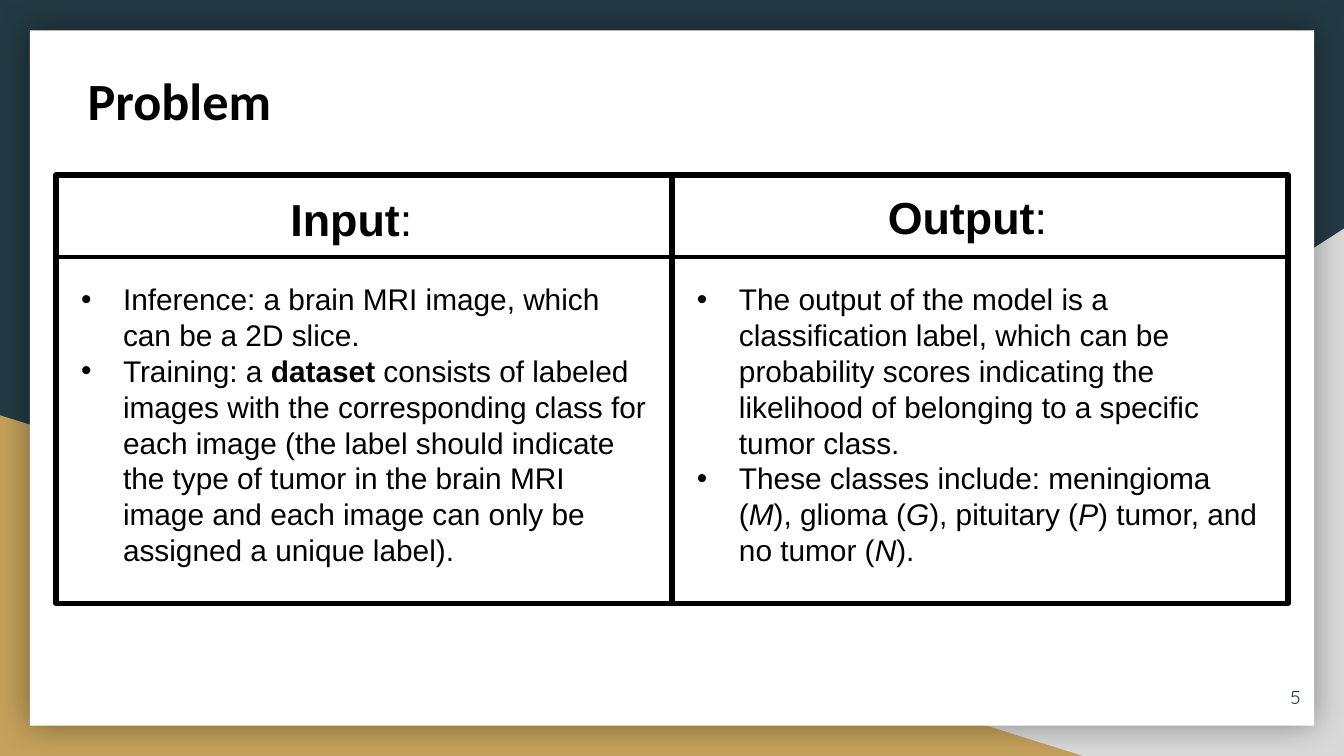
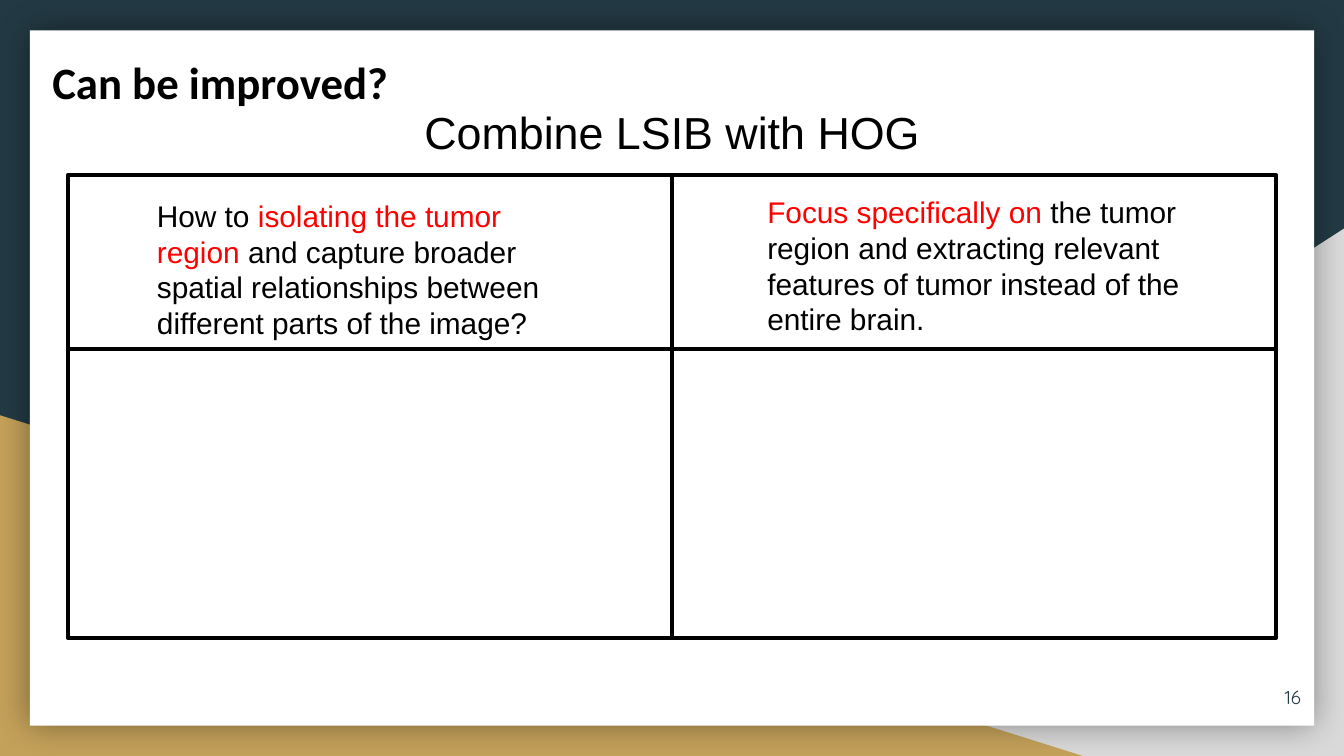
import pptx
import pptx.dml.color
import pptx.enum.shapes
import pptx.enum.text
import pptx.oxml
import pptx.oxml.ns
import pptx.util

Pt = pptx.util.Pt
RGBColor = pptx.dml.color.RGBColor
SHAPE = pptx.enum.shapes.MSO_SHAPE
ALIGN = pptx.enum.text.PP_ALIGN
ANCHOR = pptx.enum.text.MSO_ANCHOR
AUTO_SIZE = pptx.enum.text.MSO_AUTO_SIZE

NAVY = RGBColor(0x23, 0x3A, 0x44)
GOLD = RGBColor(0xC4, 0xA1, 0x5A)
GREY = RGBColor(0xD9, 0xD9, 0xD9)
WHITE = RGBColor(0xFF, 0xFF, 0xFF)
BLACK = RGBColor(0, 0, 0)
RED = RGBColor(0xFF, 0, 0)

PAGE_WIDTH, PAGE_HEIGHT = 720, 405
MIDDLE = PAGE_WIDTH / 2
GRID_TOP = 93.8
RULE_WEIGHT = 2.25

BOLD = {"bold": True}
ITALIC = {"italic": True}
MARKED = {"color": RED}

PANEL_SHADOW = (
    '<a:effectLst %s><a:outerShdw blurRad="%d" dist="0" dir="0" rotWithShape="0">'
    '<a:srgbClr val="000000"><a:alpha val="40000"/></a:srgbClr>'
    "</a:outerShdw></a:effectLst>"
)


class SlideWriter:
    body = {"name": "Arial", "size": Pt(16), "color": BLACK, "bold": False, "italic": False}
    heading = {**body, "size": Pt(24)}
    title_style = {**body, "name": "Calibri", "bold": True}
    number_style = {**body, "name": "Quicksand", "size": Pt(10), "color": NAVY}

    def __init__(self, deck):
        self.deck = deck
        self.page = None

    def new_page(self, title, box, size, number):
        title_only = self.deck.slide_layouts[5]
        self.page = self.deck.slides.add_slide(title_only)
        holder = self.page.shapes.title
        self.place(holder, *box)
        self.fill_text(holder, [[title]], {**self.title_style, "size": Pt(size)},
                       inset=7.2, indent=10)
        self.text((661, 358, 43, 31), [[number]], self.number_style, align=ALIGN.RIGHT,
                  anchor=ANCHOR.MIDDLE, inset=7.2, grow=False)

    def place(self, shape, left, top, width, height):
        values = {"left": left, "top": top, "width": width, "height": height}
        for name, value in values.items():
            setattr(shape, name, Pt(value))

    def shape(self, kind, box, fill, weight=0):
        shape = self.page.shapes.add_shape(kind, *map(Pt, box))
        shape.shadow.inherit = False
        shape.fill.solid()
        shape.fill.fore_color.rgb = fill
        if weight:
            shape.line.color.rgb = BLACK
            shape.line.width = Pt(weight)
        else:
            shape.line.fill.background()
        return shape

    def rule(self, left, right, top):
        line = self.page.shapes.add_connector(
            pptx.enum.shapes.MSO_CONNECTOR.STRAIGHT, Pt(left), Pt(top), Pt(right), Pt(top))
        line.line.color.rgb = BLACK
        line.line.width = Pt(RULE_WEIGHT)
        effects = pptx.oxml.parse_xml("<a:effectLst %s/>" % pptx.oxml.ns.nsdecls("a"))
        line._element.spPr.append(effects)

    def text(self, box, paras, style, **layout):
        holder = self.page.shapes.add_textbox(*map(Pt, box))
        self.fill_text(holder, paras, style, **layout)

    def fill_text(self, holder, paras, style, align=ALIGN.LEFT, anchor=ANCHOR.TOP, inset=3.6,
                  right=7.2, indent=0, bullet=False, grow=True):
        """Each para is a list of spans: plain text, or (text, changed format values)."""
        frame = holder.text_frame
        values = {
            "word_wrap": True, "vertical_anchor": anchor,
            "auto_size": AUTO_SIZE.SHAPE_TO_FIT_TEXT if grow else AUTO_SIZE.NONE,
            "margin_left": Pt(7.2), "margin_right": Pt(right),
            "margin_top": Pt(inset), "margin_bottom": Pt(inset),
        }
        for name, value in values.items():
            setattr(frame, name, value)
        for index, spans in enumerate(paras):
            para = frame.add_paragraph() if index else frame.paragraphs[0]
            para.alignment = align
            self.set_indent(para, indent, bullet)
            for span in spans:
                words, changes = (span, {}) if isinstance(span, str) else span
                self.add_span(para, words, {**style, **changes})

    def set_indent(self, para, indent, bullet):
        properties = para._p.get_or_add_pPr()
        properties.set("marL", str(Pt(indent)))
        properties.set("indent", str(-Pt(indent) if bullet else 0))
        if bullet:
            for markup in ('<a:buFont %s typeface="Arial"/>', '<a:buChar %s char="•"/>'):
                properties.append(pptx.oxml.parse_xml(markup % pptx.oxml.ns.nsdecls("a")))

    def add_span(self, para, words, style):
        span = para.add_run()
        span.text = words
        for name, value in style.items():
            if name == "color":
                span.font.color.rgb = value
            else:
                setattr(span.font, name, value)

    def share_backdrop(self):
        """Draw the background shapes and move them to the slide master."""
        master = self.deck.slide_master
        master.background.fill.solid()
        master.background.fill.fore_color.rgb = NAVY
        grey = self.shape(SHAPE.RIGHT_TRIANGLE, (282, 122.5, 438, 282.5), GREY)
        grey._element.spPr.xfrm.set("flipH", "1")
        gold = self.shape(SHAPE.RIGHT_TRIANGLE, (0, 222.5, 580, 182.5), GOLD)
        panel = self.shape(SHAPE.RECTANGLE, (16, 16.25, 688, 372.5), WHITE)
        properties = panel._element.spPr
        properties.remove(properties.find(pptx.oxml.ns.qn("a:effectLst")))
        properties.append(pptx.oxml.parse_xml(
            PANEL_SHADOW % (pptx.oxml.ns.nsdecls("a"), Pt(18))))
        for position, shape in enumerate((grey, gold, panel), start=2):
            master.shapes._spTree.insert(position, shape._element)

    def two_cells(self, width, height, weight):
        """Draw two equal cells that meet in the middle of the page."""
        for left in (MIDDLE - width, MIDDLE):
            self.shape(SHAPE.RECTANGLE, (left, GRID_TOP, width, height), WHITE, weight)


def problem_page(writer):
    writer.new_page("Problem", (29.8, 29.5, 241, 48), 28, "5")
    writer.share_backdrop()
    cell = 330
    writer.two_cells(cell, 229.5, 3)
    columns = [
        ("Input", 99.4, [
            ["Inference: a brain MRI image, which can be a 2D slice."],
            ["Training: a ", ("dataset", BOLD),
             " consists of labeled images with the corresponding class for each image "
             "(the label should indicate the type of tumor in the brain MRI image and "
             "each image can only be assigned a unique label)."],
        ]),
        ("Output", 98, [
            ["The output of the model is a classification label, which can be probability "
             "scores indicating the likelihood of belonging to a specific tumor class."],
            ["These classes include: meningioma (", ("M", ITALIC), "), glioma (",
             ("G", ITALIC), "), pituitary (", ("P", ITALIC), ") tumor, and no tumor (",
             ("N", ITALIC), ")."],
        ]),
    ]
    for column, (name, top, points) in enumerate(columns):
        left = MIDDLE + (column - 1) * cell
        writer.text((left, top, cell, 36), [[(name, BOLD), ":"]], writer.heading,
                    align=ALIGN.CENTER, right=20.5)
        writer.text((left + 6.3, 147, 317.5, 162.5), points, writer.body,
                    indent=22.5, bullet=True)
    writer.rule(MIDDLE - cell, MIDDLE + cell, 137.5)


def improvement_page(writer):
    writer.new_page("Can be improved?", (10.8, 22.3, 299, 44), 24, "16")
    cell = 323.6
    writer.two_cells(cell, 248, RULE_WEIGHT)
    writer.text((210, 52.5, 300, 36), [["Combine LSIB with HOG"]], writer.heading,
                align=ALIGN.CENTER)
    writer.text((77, 102.2, 245, 85), [[
        "How to ", ("isolating the tumor region ", MARKED),
        "and capture broader spatial relationships between different parts of the image?",
    ]], writer.body)
    writer.text((404, 100.2, 241, 85), [[
        ("Focus specifically on", MARKED),
        " the tumor region and extracting relevant features of tumor instead of the "
        "entire brain.",
    ]], writer.body)
    writer.rule(MIDDLE - cell, MIDDLE + cell, 186.8)


def main():
    deck = pptx.Presentation()
    deck.slide_width = Pt(PAGE_WIDTH)
    deck.slide_height = Pt(PAGE_HEIGHT)
    writer = SlideWriter(deck)
    problem_page(writer)
    improvement_page(writer)
    deck.save("out.pptx")


if __name__ == "__main__":
    main()
